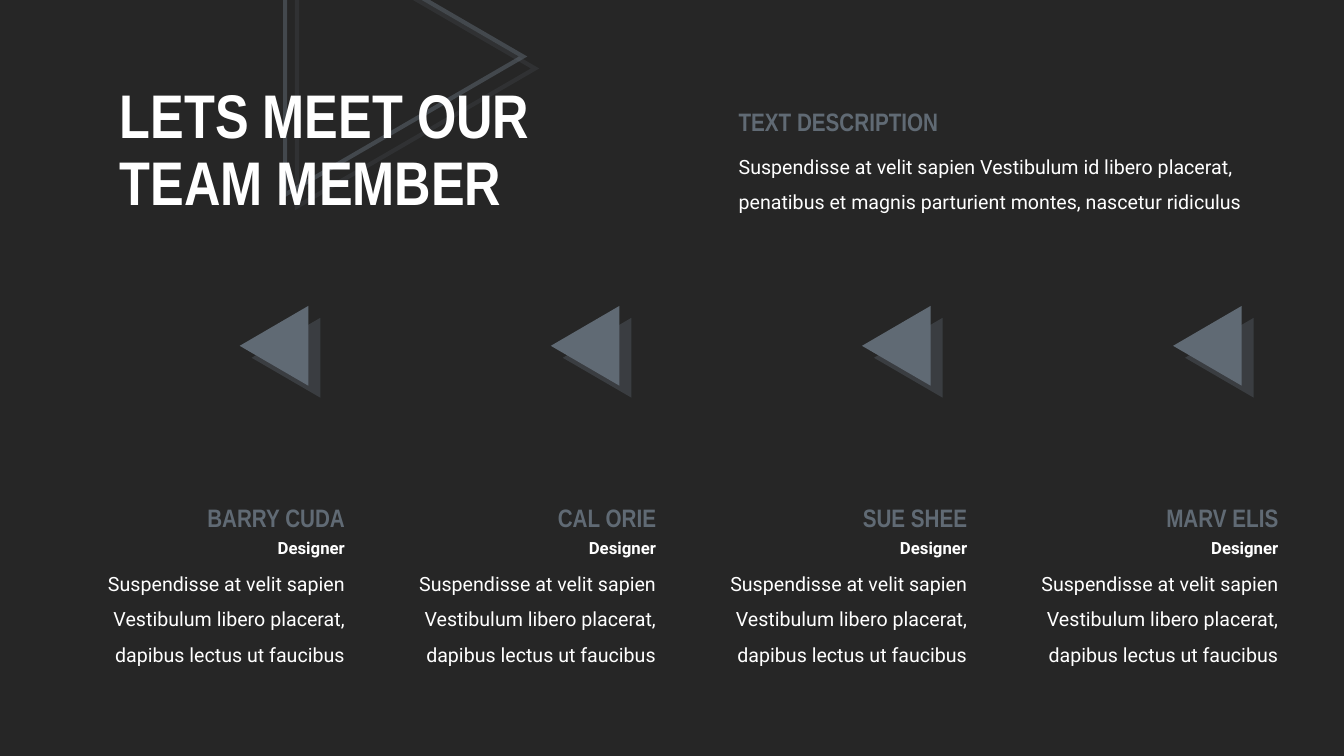
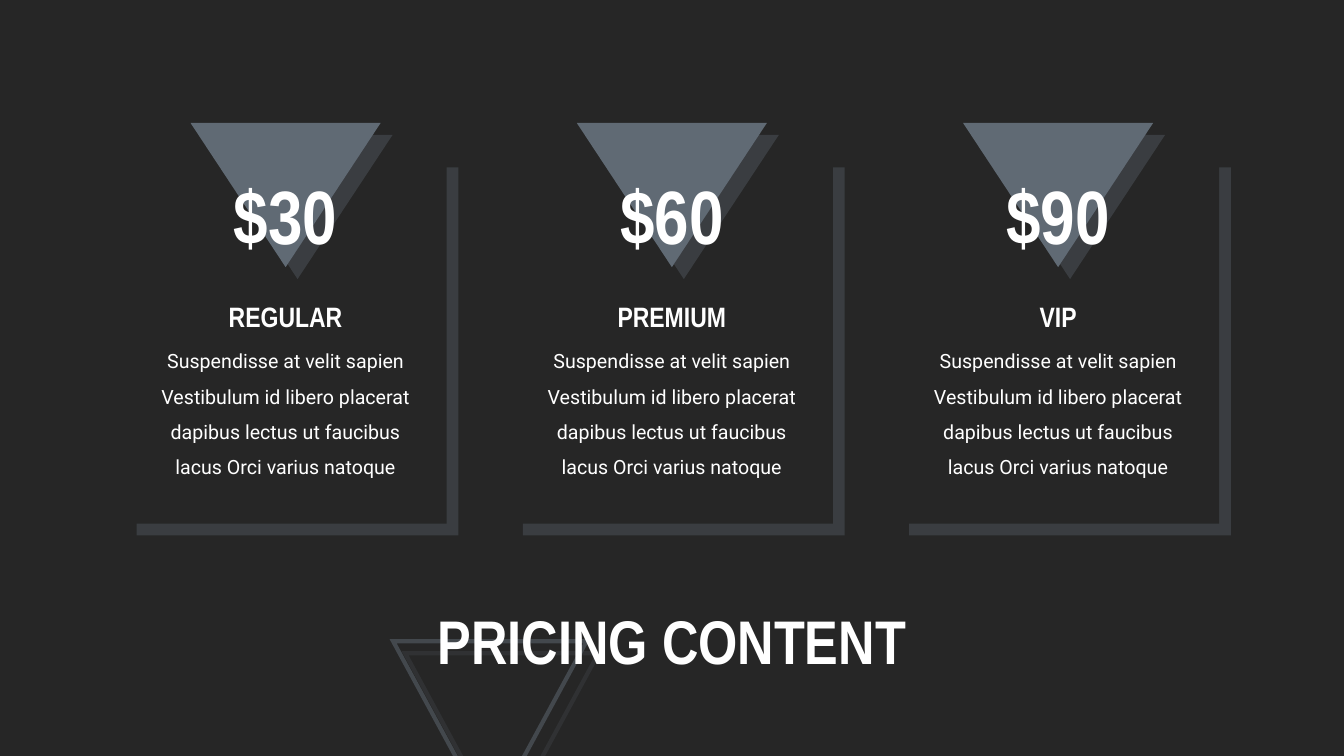
from dataclasses import dataclass

import lxml.etree
import pptx
import pptx.dml.color
import pptx.enum.shapes
import pptx.enum.text
import pptx.oxml
import pptx.oxml.ns
import pptx.util

Pt = pptx.util.Pt
ALIGN = pptx.enum.text.PP_ALIGN
ANCHOR = pptx.enum.text.MSO_ANCHOR
AUTO_SIZE = pptx.enum.text.MSO_AUTO_SIZE
SHAPE = pptx.enum.shapes.MSO_SHAPE
qn = pptx.oxml.ns.qn

DARK, SLATE, WHITE = "262626", "606A74", "FFFFFF"
HEAD_FONT, BODY_FONT = "Arial Narrow", "Roboto"
TITLE_ONLY = 5
SHADOW_XML = (
    f"<a:effectLst {pptx.oxml.ns.nsdecls('a')}>"
    '<a:outerShdw dist="153670" dir="2700000" algn="tl" rotWithShape="0">'
    f'<a:srgbClr val="{SLATE}"><a:alpha val="35000"/></a:srgbClr>'
    "</a:outerShdw></a:effectLst>"
)


@dataclass(frozen=True)
class Box:
    left: float
    top: float
    width: float
    height: float

    def lengths(self) -> tuple:
        return Pt(self.left), Pt(self.top), Pt(self.width), Pt(self.height)


@dataclass(frozen=True)
class Member:
    name: str
    role: str = "Designer"
    text: str = ("Suspendisse at velit sapien Vestibulum libero placerat, "
                 "dapibus lectus ut faucibus")


@dataclass(frozen=True)
class Plan:
    name: str
    price: str
    text: str = ("Suspendisse at velit sapien Vestibulum id libero placerat "
                 "dapibus lectus ut faucibus lacus Orci varius natoque")


MEMBERS = [Member("BARRY CUDA"), Member("CAL ORIE"),
           Member("SUE SHEE"), Member("MARV ELIS")]
PLANS = [Plan("REGULAR", "$30"), Plan("PREMIUM", "$60"), Plan("VIP", "$90")]


def rgb(color: str) -> pptx.dml.color.RGBColor:
    return pptx.dml.color.RGBColor.from_string(color)


def write(sp, text: str, *, size: float, font: str = BODY_FONT,
          color: str = WHITE, bold: bool = False, align=ALIGN.LEFT,
          spacing: float = 1.0) -> None:
    """Fill the shape with one paragraph; a newline becomes a line break."""
    tf = sp.text_frame
    tf.word_wrap = True
    p = tf.paragraphs[0]
    p.text = text
    p.alignment = align
    p.line_spacing = spacing
    for r in p.runs:
        r.font.size = Pt(size)
        r.font.name = font
        r.font.bold = bold
        r.font.color.rgb = rgb(color)


def add_text(s, box: Box, text: str, **style) -> None:
    sp = s.shapes.add_textbox(*box.lengths())
    write(sp, text, **style)
    sp.text_frame.auto_size = AUTO_SIZE.SHAPE_TO_FIT_TEXT


def add_heading(s, box: Box, text: str, **style) -> None:
    add_text(s, box, text, font=HEAD_FONT, bold=True, **style)


def add_body(s, box: Box, text: str, align=ALIGN.LEFT) -> None:
    add_text(s, box, text, size=14, spacing=1.5, align=align)


def set_title(s, box: Box, text: str, align=ALIGN.LEFT) -> None:
    sp = s.shapes.title
    sp.left, sp.top, sp.width, sp.height = box.lengths()
    write(sp, text, size=44, font=HEAD_FONT, bold=True, align=align, spacing=0.9)
    sp.text_frame.auto_size = AUTO_SIZE.NONE
    sp.text_frame.vertical_anchor = ANCHOR.MIDDLE


def add_shadowed(s, kind, box: Box, rotation: float = 0, fill: str = SLATE):
    """Add a borderless shape with the hard offset shadow."""
    sp = s.shapes.add_shape(kind, *box.lengths())
    sp.rotation = rotation
    sp.fill.solid()
    sp.fill.fore_color.rgb = rgb(fill)
    sp.line.fill.background()
    sp.element.spPr.append(pptx.oxml.parse_xml(SHADOW_XML))
    return sp


def add_outline_triangle(s, box: Box, rotation: float) -> None:
    """Add the half-transparent outline triangle behind the title."""
    sp = add_shadowed(s, SHAPE.ISOSCELES_TRIANGLE, box, rotation)
    sp.fill.background()
    sp.line.color.rgb = rgb(SLATE)
    sp.line.width = Pt(3)
    ln = sp.element.spPr.find(qn("a:ln"))
    color = ln.find(qn("a:solidFill")).find(qn("a:srgbClr"))
    lxml.etree.SubElement(color, qn("a:alpha")).set("val", "50000")
    lxml.etree.SubElement(ln, qn("a:miter")).set("lim", "800000")
    s.shapes.title.element.addprevious(sp.element)


def add_member(s, member: Member, right: float) -> None:
    def box(top: float, width: float, height: float) -> Box:
        return Box(right - width, top, width, height)

    add_body(s, box(396.7, 204.5, 82.8), member.text, ALIGN.RIGHT)
    add_heading(s, box(355, 133.2, 29), member.name, size=18, color=SLATE,
                align=ALIGN.RIGHT)
    add_text(s, box(380.2, 75, 21.8), member.role, size=12, bold=True,
             align=ALIGN.RIGHT)
    add_shadowed(s, SHAPE.ISOSCELES_TRIANGLE,
                 Box(right - 86.3, 222.5, 57, 49), 270)


def add_plan(s, plan: Plan, center: float) -> None:
    def box(top: float, width: float, height: float) -> Box:
        return Box(center - width / 2, top, width, height)

    add_shadowed(s, SHAPE.RECTANGLE, box(111, 230, 263), fill=DARK)
    add_shadowed(s, SHAPE.ISOSCELES_TRIANGLE, box(87.8, 135.8, 103), 180)
    add_heading(s, box(117.4, 120, 72), plan.price, size=54, align=ALIGN.CENTER)
    add_heading(s, box(210.2, 135.8, 31.5), plan.name, size=20,
                align=ALIGN.CENTER)
    add_body(s, box(237.6, 202.3, 108), plan.text, ALIGN.CENTER)


def build_team(s) -> None:
    add_outline_triangle(s, Box(190, -44.6, 197.3, 170), 90)
    set_title(s, Box(78.5, 51.8, 404.6, 113.8), "LETS MEET OUR\nTEAM MEMBER")
    for i, member in enumerate(MEMBERS):
        add_member(s, member, 253.5 + 222.25 * i)
    add_body(s, Box(520.5, 98.6, 399.6, 57.6),
             "Suspendisse at velit sapien Vestibulum id libero placerat, "
             "penatibus et magnis parturient montes, nascetur ridiculus")
    add_heading(s, Box(520.5, 72.7, 176.4, 29), "TEXT DESCRIPTION", size=18,
                color=SLATE)


def build_pricing(s) -> None:
    add_outline_triangle(s, Box(280.8, 458, 138.2, 127.4), 180)
    set_title(s, Box(235.4, 424.8, 489.6, 70.6), "PRICING CONTENT", ALIGN.CENTER)
    for i, plan in enumerate(PLANS):
        add_plan(s, plan, 204 + 275.9 * i)


def main() -> None:
    prs = pptx.Presentation()
    prs.slide_width, prs.slide_height = Pt(960), Pt(540)
    background = prs.slide_master.background.fill
    background.solid()
    background.fore_color.rgb = rgb(DARK)
    for build in (build_team, build_pricing):
        build(prs.slides.add_slide(prs.slide_layouts[TITLE_ONLY]))
    prs.save("out.pptx")


if __name__ == "__main__":
    main()
